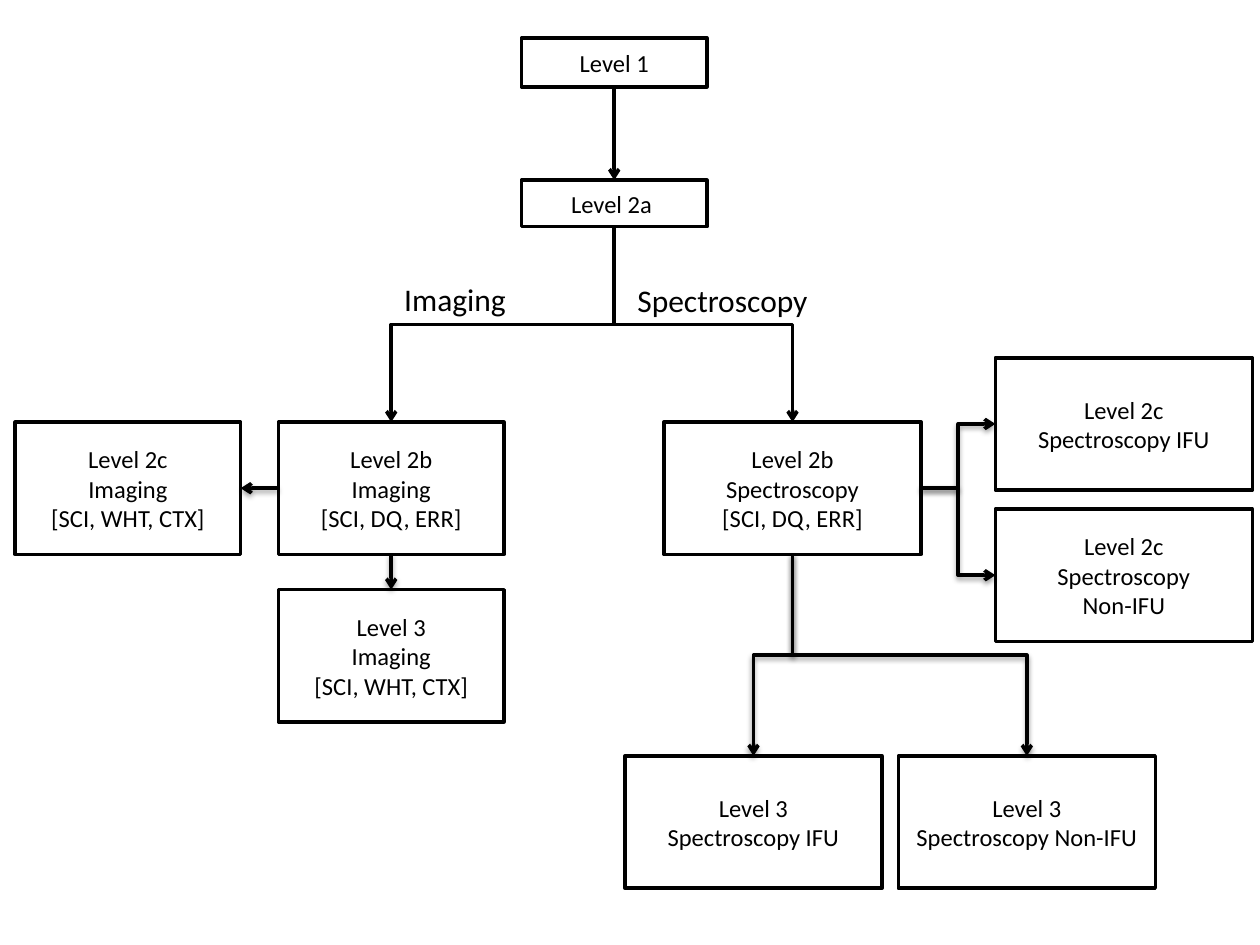
"""Draw the flow of data product levels for imaging and spectroscopy."""
from typing import NamedTuple

from lxml import etree
from pptx import Presentation
from pptx import util as u
from pptx.dml.color import RGBColor
from pptx.enum import shapes, text
from pptx.oxml import ns

BLACK = RGBColor(0, 0, 0)
WHITE = RGBColor(255, 255, 255)
FONT = "Calibri"
TOP, LEFT, BASE, RIGHT = range(4)
TALL = 1.05
SLIM, WIDE = 1.79, 2.04
ROW = 3.35


class Box(NamedTuple):
    key: str
    left: float
    top: float
    width: float
    height: float
    words: str


class Link(NamedTuple):
    start: str
    out: int
    end: str
    into: int
    shade: bool


class Label(NamedTuple):
    left: float
    top: float
    width: float
    words: str


BOXES = [
    Box("one", 4.14, 0.3, 1.47, 0.39, "Level 1"),
    Box("two", 4.14, 1.43, 1.47, 0.37, "Level 2a "),
    Box("image", 2.21, ROW, SLIM, TALL, "Level 2b\nImaging\n[SCI, DQ, ERR]"),
    Box("spectra", 5.27, ROW, WIDE, TALL, "Level 2b\nSpectroscopy\n[SCI, DQ, ERR]"),
    Box("image_c", 0.12, ROW, SLIM, TALL, "Level 2c\nImaging\n[SCI, WHT, CTX]"),
    Box("image_3", 2.21, 4.68, SLIM, TALL, "Level 3\nImaging\n[SCI, WHT, CTX]"),
    Box("ifu_c", 7.9, 2.84, WIDE, TALL, "Level 2c\nSpectroscopy IFU"),
    Box("non_c", 7.9, 4.04, WIDE, TALL, "Level 2c\nSpectroscopy\nNon-IFU"),
    Box("ifu_3", 4.96, 6, WIDE, TALL, "Level 3\nSpectroscopy IFU"),
    Box("non_3", 7.13, 6, WIDE, TALL, "Level 3\nSpectroscopy Non-IFU"),
]
LINKS = [
    Link("one", BASE, "two", TOP, False),
    Link("two", BASE, "image", TOP, False),
    Link("two", BASE, "spectra", TOP, False),
    Link("image", LEFT, "image_c", RIGHT, True),
    Link("image", BASE, "image_3", TOP, True),
    Link("spectra", RIGHT, "ifu_c", LEFT, True),
    Link("spectra", RIGHT, "non_c", LEFT, True),
    Link("spectra", BASE, "ifu_3", TOP, True),
    Link("spectra", BASE, "non_3", TOP, True),
]
LABELS = [Label(3.11, 2.17, 1.02, "Imaging"), Label(4.96, 2.18, 1.58, "Spectroscopy")]


def style(frame, size: int, align) -> None:
    """Format every run in a text frame."""
    for para in frame.paragraphs:
        para.alignment = align
        for run in para.runs:
            run.font.name = FONT
            run.font.size = u.Pt(size)
            run.font.color.rgb = BLACK


def draw_box(slide, box: Box):
    """Add one outlined box with centred text."""
    shape = slide.shapes.add_shape(
        shapes.MSO_SHAPE.RECTANGLE, *map(u.Inches, box[1:5]))
    shape.shadow.inherit = False
    shape.fill.solid()
    shape.fill.fore_color.rgb = WHITE
    shape.line.color.rgb = BLACK
    shape.line.width = u.Pt(2)
    frame = shape.text_frame
    frame.text = box.words
    frame.vertical_anchor = text.MSO_ANCHOR.MIDDLE
    style(frame, 14, text.PP_ALIGN.CENTER)
    return shape


def draw_label(slide, label: Label) -> None:
    """Add one branch label."""
    area = (label.left, label.top, label.width, 0.4)
    frame = slide.shapes.add_textbox(*map(u.Inches, area)).text_frame
    frame.text = label.words
    frame.word_wrap = False
    frame.auto_size = text.MSO_AUTO_SIZE.SHAPE_TO_FIT_TEXT
    style(frame, 18, text.PP_ALIGN.LEFT)


def turn(line) -> None:
    """Rotate an elbow so that it leaves and arrives vertically."""
    wide, high = line.width, line.height
    right = line.end_x > line.begin_x
    mid_x, mid_y = line.left + wide // 2, line.top + high // 2
    line.left, line.top = mid_x - high // 2, mid_y - wide // 2
    line.width, line.height = high, wide
    form = line.element.spPr.find(ns.qn("a:xfrm"))
    form.attrib.pop("flipH", None)
    form.set("rot", str((270 if right else 90) * 60000))
    if right:
        form.set("flipH", "1")


def add_shade(effect) -> None:
    """Add a soft shadow that falls downwards."""
    outer = etree.SubElement(
        effect, ns.qn("a:outerShdw"), blurRad=str(u.Pt(3.1)),
        dist=str(u.Pt(1.6)), dir="5400000", rotWithShape="0")
    tint = etree.SubElement(outer, ns.qn("a:srgbClr"), val=str(BLACK))
    etree.SubElement(tint, ns.qn("a:alpha"), val="38000")


def draw_link(slide, link: Link, nodes: dict) -> None:
    """Join two boxes with an arrow."""
    line = slide.shapes.add_connector(shapes.MSO_CONNECTOR.ELBOW, 0, 0, 0, 0)
    line.begin_connect(nodes[link.start], link.out)
    line.end_connect(nodes[link.end], link.into)
    props = line.element.spPr
    if min(line.width, line.height) < u.Inches(0.02):
        props.find(ns.qn("a:prstGeom")).set("prst", "line")
    elif link.out == BASE:
        turn(line)
    line.line.color.rgb = BLACK
    line.line.width = u.Pt(2)
    stroke = props.find(ns.qn("a:ln"))
    etree.SubElement(stroke, ns.qn("a:tailEnd"), type="arrow")
    effect = etree.SubElement(props, ns.qn("a:effectLst"))
    if link.shade:
        add_shade(effect)


def main() -> None:
    """Build and save the slide."""
    deck = Presentation()
    deck.slide_width, deck.slide_height = u.Inches(10), u.Inches(7.5)
    slide = deck.slides.add_slide(deck.slide_layouts[6])
    nodes = {box.key: draw_box(slide, box) for box in BOXES}
    for link in LINKS:
        draw_link(slide, link, nodes)
    for label in LABELS:
        draw_label(slide, label)
    deck.save("out.pptx")


main()
